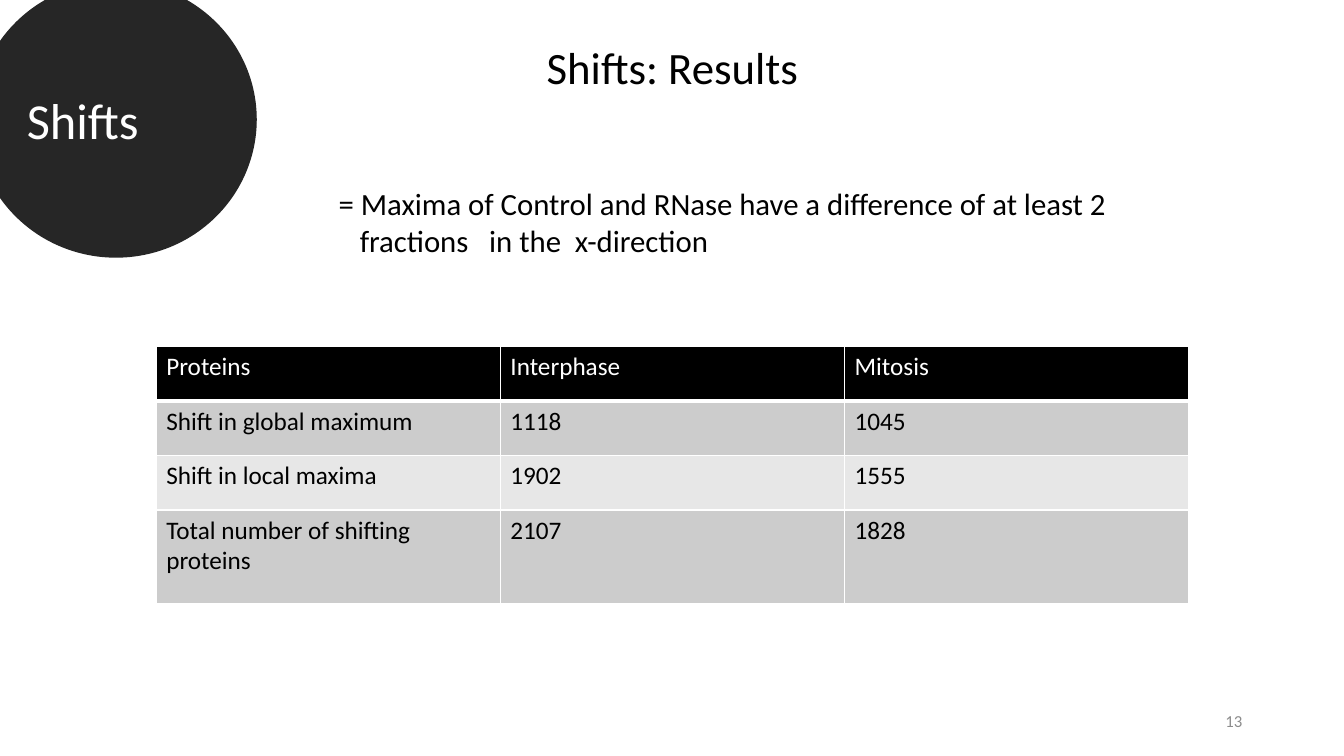
from dataclasses import dataclass

from lxml.etree import SubElement
from pptx import Presentation
from pptx.dml.color import RGBColor as RGB
from pptx.enum.shapes import MSO_SHAPE as Kind
from pptx.enum.text import MSO_ANCHOR as Anchor, PP_ALIGN as Align
from pptx.oxml.ns import qn
from pptx.util import Emu, Pt

SCALE = 9144  # EMU per px, 100 px to the inch


@dataclass(frozen=True)
class Theme:
    font: str = "Calibri"
    black: str = "000000"
    white: str = "FFFFFF"
    dark: str = "262626"
    gray: str = "8C8C8C"
    bands: tuple = ("CCCCCC", "E7E7E7")
    badge: int = 36
    title: int = 32
    body: int = 22
    cell: int = 18
    small: int = 12


THEME = Theme()
ROWS = [
    ("Proteins", "Interphase", "Mitosis"),
    ("Shift in global maximum", "1118", "1045"),
    ("Shift in local maxima", "1902", "1555"),
    ("Total number of shifting proteins", "2107", "1828"),
]


def px(num):
    return Emu(num * SCALE)


def area(*nums):
    return [px(num) for num in nums]


def add_run(para, text, size, color, align=Align.LEFT):
    para.alignment = align
    run = para.add_run()
    run.text = text
    run.font.name = THEME.font
    run.font.size = Pt(size)
    run.font.color.rgb = RGB.from_string(color)


def add_text(slide, box, lines, size, color, align=Align.LEFT, anchor=Anchor.TOP):
    frame = slide.shapes.add_textbox(*area(*box)).text_frame
    frame.word_wrap = True
    frame.vertical_anchor = anchor
    for num, line in enumerate(lines):
        para = frame.add_paragraph() if num else frame.paragraphs[0]
        add_run(para, line, size, color, align)
    return frame


def add_badge(slide, box, text):
    disc = slide.shapes.add_shape(Kind.OVAL, *area(*box))
    disc.shadow.inherit = False
    disc.fill.solid()
    disc.fill.fore_color.rgb = RGB.from_string(THEME.dark)
    disc.line.color.rgb = RGB.from_string(THEME.dark)
    disc.line.width = Pt(1)
    disc.text_frame.vertical_anchor = Anchor.MIDDLE
    add_run(disc.text_frame.paragraphs[0], text, THEME.badge, THEME.white)


def add_edges(cell, low):
    """Draw white cell borders; low is the bottom width in points."""
    props = cell._tc.get_or_add_tcPr()
    for side, width in zip("LRTB", (1, 1, 1, low)):
        line = SubElement(props, qn(f"a:ln{side}"), w=str(Pt(width)))
        fill = SubElement(line, qn("a:solidFill"))
        SubElement(fill, qn("a:srgbClr"), val=THEME.white)


def add_grid(slide, box, rows, heights):
    table = slide.shapes.add_table(len(rows), len(rows[0]), *area(*box)).table
    for col in table.columns:
        col.width = px(box[2]) // len(rows[0])
    for r, (texts, height) in enumerate(zip(rows, heights)):
        table.rows[r].height = px(height)
        back = THEME.bands[(r - 1) % 2] if r else THEME.black
        color = THEME.black if r else THEME.white
        for c, text in enumerate(texts):
            cell = table.cell(r, c)
            add_edges(cell, 1 if r else 3)
            cell.fill.solid()
            cell.fill.fore_color.rgb = RGB.from_string(back)
            add_run(cell.text_frame.paragraphs[0], text, THEME.cell, color)


def main():
    deck = Presentation()
    deck.slide_width, deck.slide_height = area(1333, 750)
    slide = deck.slides.add_slide(deck.slide_layouts[6])

    add_text(slide, (942, 695, 300, 40), ["13"], THEME.small, THEME.gray,
             Align.RIGHT, Anchor.MIDDLE)
    add_badge(slide, (-24, -18, 278, 273), "Shifts")
    note = add_text(
        slide, (326, 178, 852, 84),
        ["= Maxima of Control and RNase have a difference of at least 2",
         "fractions   in the  x-direction"],
        THEME.body, THEME.black)
    note.paragraphs[1]._p.get_or_add_pPr().set("marL", str(px(21)))
    title = add_text(slide, (92, 40, 1150, 145), ["Shifts: Results"],
                     THEME.title, THEME.black, Align.CENTER)
    title.paragraphs[0].line_spacing = 0.9
    add_grid(slide, (155, 344, 1024, 255), ROWS, (54, 54, 54, 93))

    deck.save("out.pptx")


if __name__ == "__main__":
    main()
